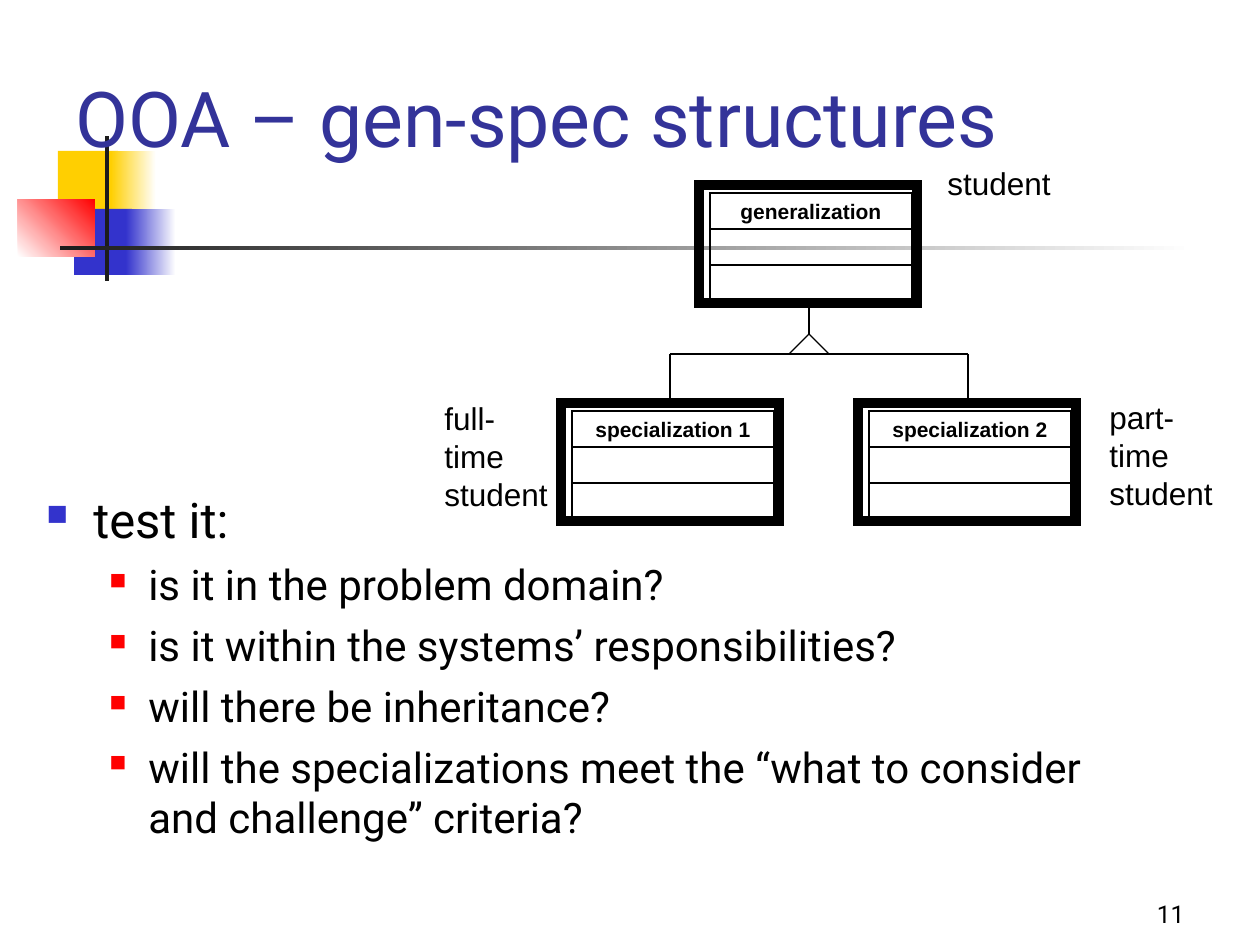
import pptx
import pptx.util
import pptx.dml.color
import pptx.enum.shapes
import pptx.enum.text
import pptx.oxml.ns
from lxml import etree

PX = 914400 / 126
ALIGN = pptx.enum.text.PP_ALIGN
ANCHOR = pptx.enum.text.MSO_ANCHOR
BLACK, DARK, WHITE = "000000", "1C1C1C", "FFFFFF"
YELLOW, BLUE, RED, TITLE = "FFCF01", "3333CC", "FF0000", "333399"


def emu(*lengths):
    return [round(n * PX) for n in lengths]


def rgb(color):
    return pptx.dml.color.RGBColor.from_string(color)


def child(parent, tag, **attrs):
    return etree.SubElement(parent, pptx.oxml.ns.qn(tag), attrs)


class Deck:
    def __init__(self, width, height):
        self.prs = pptx.Presentation()
        self.prs.slide_width, self.prs.slide_height = emu(width, height)
        self.s = self.prs.slides.add_slide(self.prs.slide_layouts[6])

    def rect(self, x, y, w, h, shapes=None):
        kind = pptx.enum.shapes.MSO_SHAPE.RECTANGLE
        sp = (shapes or self.s.shapes).add_shape(kind, *emu(x, y, w, h))
        sp.shadow.inherit = False
        return sp

    def block(self, x, y, w, h, color, fade_to=None, angle=0):
        """Borderless rectangle, solid or fading to a second colour."""
        sp = self.rect(x, y, w, h)
        sp.line.fill.background()
        if fade_to:
            sp.fill.gradient()
            sp.fill.gradient_angle = angle
            for stop, c in zip(sp.fill.gradient_stops, (color, fade_to)):
                stop.color.rgb = rgb(c)
        else:
            sp.fill.solid()
            sp.fill.fore_color.rgb = rgb(color)

    def outline(self, x, y, w, h, weight, shapes):
        sp = self.rect(x, y, w, h, shapes)
        sp.fill.background()
        sp.line.color.rgb = rgb(BLACK)
        sp.line.width = pptx.util.Pt(weight)
        child(sp.line._get_or_add_ln(), "a:miter", lim="800000")
        return sp

    def style(self, p, size, font, color=BLACK, bold=False, align=ALIGN.LEFT):
        p.alignment = align
        p.font.size = pptx.util.Pt(size)
        p.font.name = font
        p.font.bold = bold
        p.font.color.rgb = rgb(color)

    def text(self, x, y, w, h, lines, size, font="Roboto", color=BLACK,
             align=ALIGN.LEFT, anchor=ANCHOR.TOP, wrap=True):
        tf = self.s.shapes.add_textbox(*emu(x, y, w, h)).text_frame
        tf.word_wrap = wrap
        tf.vertical_anchor = anchor
        tf.text = "\n".join(lines)
        for p in tf.paragraphs:
            self.style(p, size, font, color, align=align)
        return tf

    def label(self, x, y, w, h, *lines):
        tf = self.text(x, y, w, h, lines, 18, "Arial", wrap=False)
        tf.auto_size = pptx.enum.text.MSO_AUTO_SIZE.SHAPE_TO_FIT_TEXT

    def bullet(self, p, level, size, before, margin, hang, color, percent):
        p.level = level
        p.font.size = pptx.util.Pt(size)
        p.space_before = pptx.util.Pt(before)
        pPr = p._p.get_or_add_pPr()
        left, indent = emu(margin, -hang)
        pPr.set("marL", str(left))
        pPr.set("indent", str(indent))
        marks = [child(child(pPr, "a:buClr"), "a:srgbClr", val=color).getparent(),
                 child(pPr, "a:buSzPct", val=str(percent * 1000)),
                 child(pPr, "a:buChar", char="■")]
        run_style = pPr.find(pptx.oxml.ns.qn("a:defRPr"))
        for mark in marks:
            run_style.addprevious(mark)

    def class_box(self, x, y, name):
        """Heavy frame around a name row and two empty rows."""
        shapes = self.s.shapes.add_group_shape().shapes
        self.outline(x, y, 218, 118, 6, shapes)
        rows = [self.outline(x + 11, y + 8 + 36 * i, 202, 36, 0.75, shapes)
                for i in range(3)]
        tf = rows[0].text_frame
        tf.word_wrap = False
        tf.vertical_anchor = ANCHOR.MIDDLE
        tf.text = name
        self.style(tf.paragraphs[0], 12, "Arial", bold=True, align=ALIGN.CENTER)

    def line(self, x1, y1, x2, y2):
        kind = pptx.enum.shapes.MSO_CONNECTOR.STRAIGHT
        c = self.s.shapes.add_connector(kind, *emu(x1, y1, x2, y2))
        c.line.color.rgb = rgb(BLACK)
        c.line.width = pptx.util.Pt(0.75)
        child(c._element.spPr, "a:effectLst")


def main():
    d = Deck(1260, 945)

    d.block(58, 151, 60, 66, YELLOW)
    d.block(111, 151, 45, 66, YELLOW, WHITE)
    d.block(74, 209, 58, 66, BLUE)
    d.block(126, 209, 50, 66, BLUE, WHITE)
    d.block(18, 199, 77, 58, WHITE, RED, angle=45)
    d.block(105, 136, 4, 145, DARK)
    d.block(60, 246, 1134, 4, DARK, WHITE)

    d.text(935, 872, 262, 63, ["11"], 14, align=ALIGN.RIGHT, anchor=ANCHOR.BOTTOM)
    d.text(63, 38, 1134, 158, ["OOA – gen-spec structures"], 44, color=TITLE,
           anchor=ANCHOR.MIDDLE)

    body = d.text(34, 483, 1111, 397, [
        "test it:",
        "is it in the problem domain?",
        "is it within the systems’ responsibilities?",
        "will there be inheritance?",
        "will the specializations meet the “what to consider and challenge” criteria?",
    ], 24)
    heading, *questions = body.paragraphs
    d.bullet(heading, 0, 28, 7, 47, 47, BLUE, 60)
    for p in questions:
        d.bullet(p, 1, 24, 6, 102, 39, RED, 55)

    d.class_box(699, 185, "generalization")
    d.label(935, 158, 129, 50, "student")
    d.class_box(561, 403, "specialization 1")
    d.class_box(858, 403, "specialization 2")

    left, mid, right = 670, 809, 968
    tip, bar = 334, 354
    d.line(left, bar, right, bar)
    d.line(mid, 304, mid, tip)
    for side in (20, -20):
        d.line(mid, tip, mid + side, bar)
    for x in (left, right):
        d.line(x, bar, x, 403)

    d.label(1097, 392, 149, 88, "part-time", "student")
    d.label(432, 393, 135, 88, "full-time", "student")

    d.prs.save("out.pptx")


if __name__ == "__main__":
    main()
